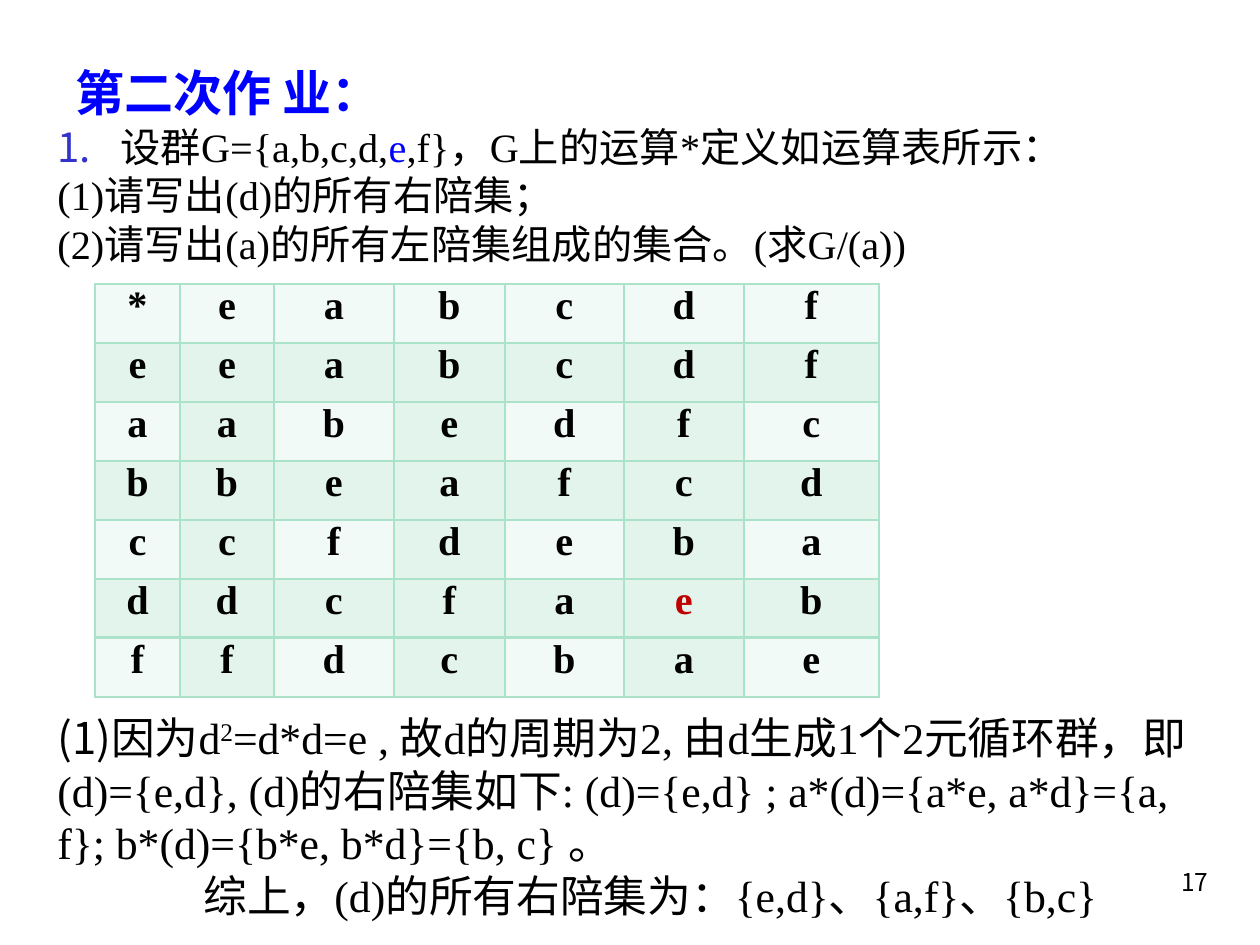
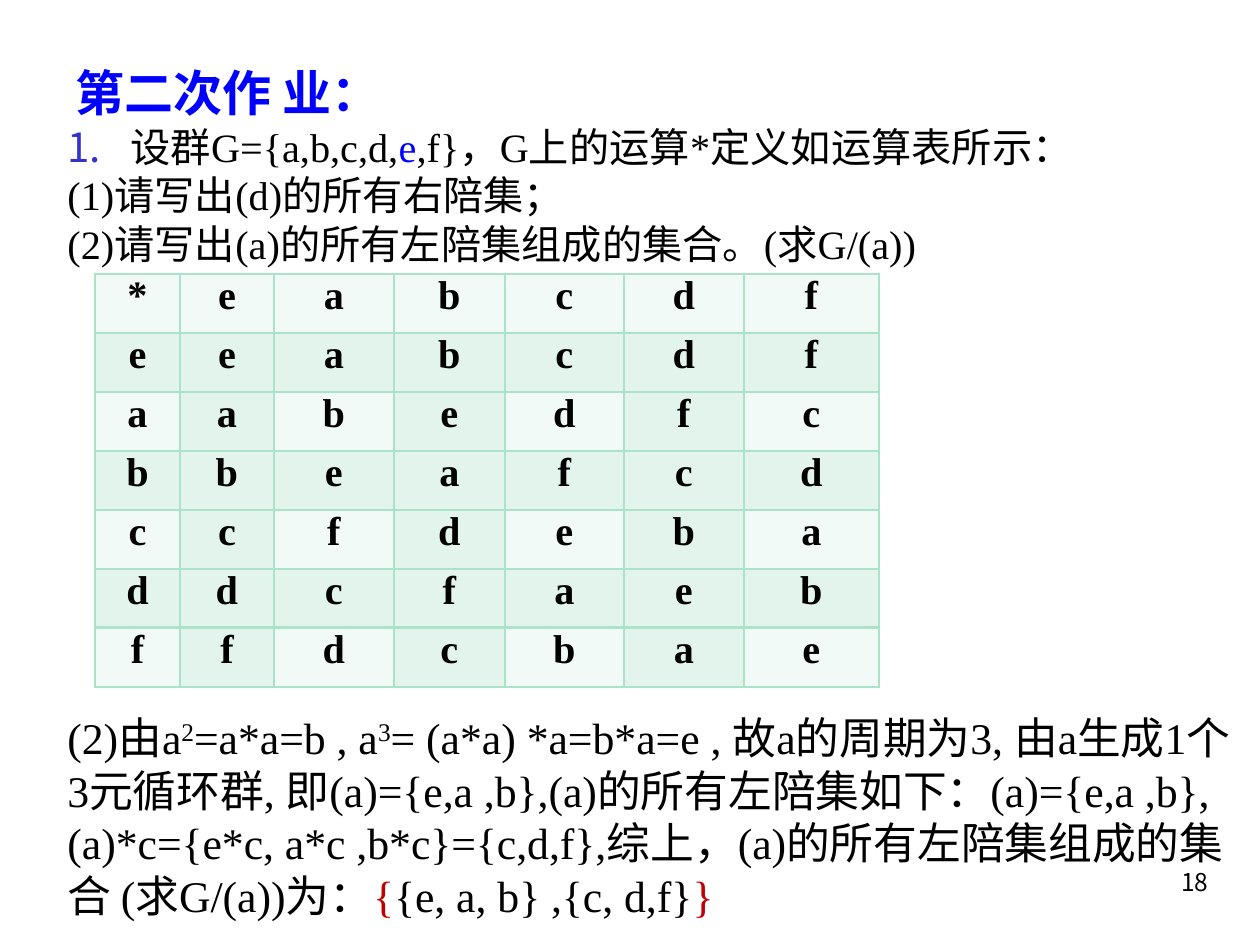
import pptx
import pptx.dml.color
import pptx.enum.text
import pptx.oxml.ns
import pptx.util
from lxml import etree

PX_PER_INCH = 126
SERIF, SANS, PAGE_FONT = "Times New Roman", "Noto Sans CJK SC", "Noto Sans CJK KR"
BLACK, BLUE, NUMBER_BLUE, RED = "000000", "0000FF", "3333CC", "C00000"
PALE, MINT, BORDER = "F1FAF6", "E2F4EC", "AAE2CA"
PROBLEM_SIZE, SOLUTION_SIZE = 23, 25
COLUMN_WIDTHS = [85, 94, 120, 111, 119, 120, 135]
ROW_HEIGHT = 59
LEFT, RIGHT = pptx.enum.text.PP_ALIGN.LEFT, pptx.enum.text.PP_ALIGN.RIGHT
CENTER = pptx.enum.text.PP_ALIGN.CENTER

# Group operation: heading row and heading column included
OPERATION = ["*eabcdf", "eeabcdf", "aabedfc", "bbeafcd", "ccfdeba", "ddcfaeb", "ffdcbae"]

# A piece of text is (text, formatting that differs from its paragraph)
PROBLEM = [
    [("设群G={a,b,c,d,", {}), ("e", {"color": BLUE}), (",f}，G上的运算*定义如运算表所示：", {})],
    [("(1)请写出(d)的所有右陪集；", {})],
    [("(2)请写出(a)的所有左陪集组成的集合。(求G/(a))", {})],
]
RIGHT_COSETS = [
    [("(1)", {"face": SANS}), ("因为d", {}), ("2", {"raised": True}),
     ("=d*d=e , 故d的周期为2, 由d生成1个2元循环群，即(d)={e,d}, (d)的右陪集如下: "
      "(d)={e,d} ; a*(d)={a*e, a*d}={a, f}; b*(d)={b*e, b*d}={b, c} 。", {})],
    [("综上，(d)的所有右陪集为：{e,d}、{a,f}、{b,c}", {})],
]
LEFT_COSETS = [
    [("(2)由a", {}), ("2", {"raised": True}), ("=a*a=b , a", {}), ("3", {"raised": True}),
     ("= (a*a) *a=b*a=e , 故a的周期为3, 由a生成1个3元循环群, 即(a)={e,a ,b},(a)的所有左陪集如下："
      "(a)={e,a ,b}, (a)*c={e*c, a*c ,b*c}={c,d,f},综上，(a)的所有左陪集组成的集合 (求G/(a))为：", {}),
     ("{", {"color": RED}), ("{e, a, b} ,{c, d,f}", {}), ("}", {"color": RED})],
]


def px(length):
    return pptx.util.Emu(round(length * 914400 / PX_PER_INCH))


def rgb(value):
    return pptx.dml.color.RGBColor.from_string(value)


def add_xml(parent, tag, **attributes):
    return etree.SubElement(parent, pptx.oxml.ns.qn(tag), attributes)


def set_font(font, size, face=SERIF, color=BLACK, bold=False):
    font.size, font.bold, font.name = pptx.util.Pt(size), bold, face
    font.color.rgb = rgb(color)
    latin = font._element.find(pptx.oxml.ns.qn("a:latin"))
    east_asian = etree.Element(pptx.oxml.ns.qn("a:ea"), typeface=SANS)
    latin.addnext(east_asian)


def set_indent(paragraph, margin, first_line):
    properties = paragraph._p.get_or_add_pPr()
    properties.set("marL", str(px(margin)))
    properties.set("indent", str(px(first_line)))


def number_paragraph(paragraph):
    set_indent(paragraph, 63, -63)
    properties = paragraph._p.get_or_add_pPr()
    add_xml(add_xml(properties, "a:buClr"), "a:srgbClr", val=NUMBER_BLUE)
    add_xml(properties, "a:buFont", typeface=SANS)
    add_xml(properties, "a:buAutoNum", type="arabicPeriod")


def write_pieces(paragraph, pieces, size):
    mixed = any(formatting for _, formatting in pieces)
    for text, formatting in pieces:
        run = paragraph.add_run()
        run.text = text
        if mixed:
            set_font(run.font, size, formatting.get("face", SERIF), formatting.get("color", BLACK))
        if formatting.get("raised"):
            run.font._element.set("baseline", "30000")
    if not mixed:
        set_font(paragraph.font, size)


def add_text(slide, left, top, width, height):
    frame = slide.shapes.add_textbox(px(left), px(top), px(width), px(height)).text_frame
    frame.word_wrap = True
    return frame


def add_paragraphs(frame, paragraphs, size, numbered=False, closing_indent=0):
    for index, pieces in enumerate(paragraphs):
        paragraph = frame.paragraphs[0] if index == 0 else frame.add_paragraph()
        paragraph.line_spacing = pptx.util.Pt(size * 1.2)
        if numbered and index == 0:
            number_paragraph(paragraph)
        elif closing_indent and index == len(paragraphs) - 1:
            set_indent(paragraph, 0, closing_indent)
        write_pieces(paragraph, pieces, size)


def add_title(slide):
    title = slide.shapes.title
    title.left, title.top, title.width, title.height = px(63), px(55), px(1105), px(74)
    frame = title.text_frame
    frame.text = "第二次作 业："
    frame.vertical_anchor = pptx.enum.text.MSO_ANCHOR.MIDDLE
    frame.paragraphs[0].alignment = LEFT
    set_font(frame.paragraphs[0].font, 28, SANS, BLUE, True)


def border_cell(cell, top, bottom):
    properties = cell._tc.get_or_add_tcPr()
    for side, points in (("L", 1), ("R", 1), ("T", top), ("B", bottom)):
        line = add_xml(properties, f"a:ln{side}", w=str(pptx.util.Pt(points)))
        add_xml(add_xml(line, "a:solidFill"), "a:srgbClr", val=BORDER)


def add_operation_table(slide, top, red_cell):
    size = len(OPERATION)
    table = slide.shapes.add_table(size, size, px(95), px(top), px(sum(COLUMN_WIDTHS)),
                                   px(ROW_HEIGHT * size)).table
    table.first_row = table.horz_banding = False
    for column, width in zip(table.columns, COLUMN_WIDTHS):
        column.width = px(width)
    for r, elements in enumerate(OPERATION):
        table.rows[r].height = px(ROW_HEIGHT)
        for c, element in enumerate(elements):
            cell = table.cell(r, c)
            cell.margin_left = cell.margin_right = px(9)
            cell.margin_top = cell.margin_bottom = 0
            # The last row is set off by a heavier line
            border_cell(cell, 2 if r == size - 1 else 1, 2 if r == size - 2 else 1)
            cell.fill.solid()
            shaded = r % 2 == 1 or (r > 0 and c % 2 == 1)
            cell.fill.fore_color.rgb = rgb(MINT if shaded else PALE)
            paragraph = cell.text_frame.paragraphs[0]
            paragraph.text = element
            paragraph.alignment = CENTER
            color = RED if (r, c) == red_cell else BLACK
            set_font(paragraph.font, PROBLEM_SIZE, color=color, bold=True)


def add_page_number(slide, number):
    paragraph = add_text(slide, 959, 861, 262, 63).paragraphs[0]
    paragraph.text = str(number)
    paragraph.alignment = RIGHT
    set_font(paragraph.font, 14, PAGE_FONT)


def add_homework_slide(deck, number, left, width, table_top, solution, red_cell=None):
    slide = deck.slides.add_slide(deck.slide_layouts[5])
    add_title(slide)
    add_paragraphs(add_text(slide, left, 116, width, 158), PROBLEM, PROBLEM_SIZE, numbered=True)
    add_operation_table(slide, table_top, red_cell)
    closing_indent = 146 if len(solution) > 1 else 0
    add_paragraphs(add_text(slide, left, 705, width, 222), solution, SOLUTION_SIZE,
                   closing_indent=closing_indent)
    add_page_number(slide, number)


def main():
    deck = pptx.Presentation()
    deck.slide_width, deck.slide_height = px(1260), px(945)
    add_homework_slide(deck, 17, 45, 1189, 284, RIGHT_COSETS, red_cell=(5, 5))
    add_homework_slide(deck, 18, 55, 1198, 274, LEFT_COSETS)
    deck.save("out.pptx")


if __name__ == "__main__":
    main()
